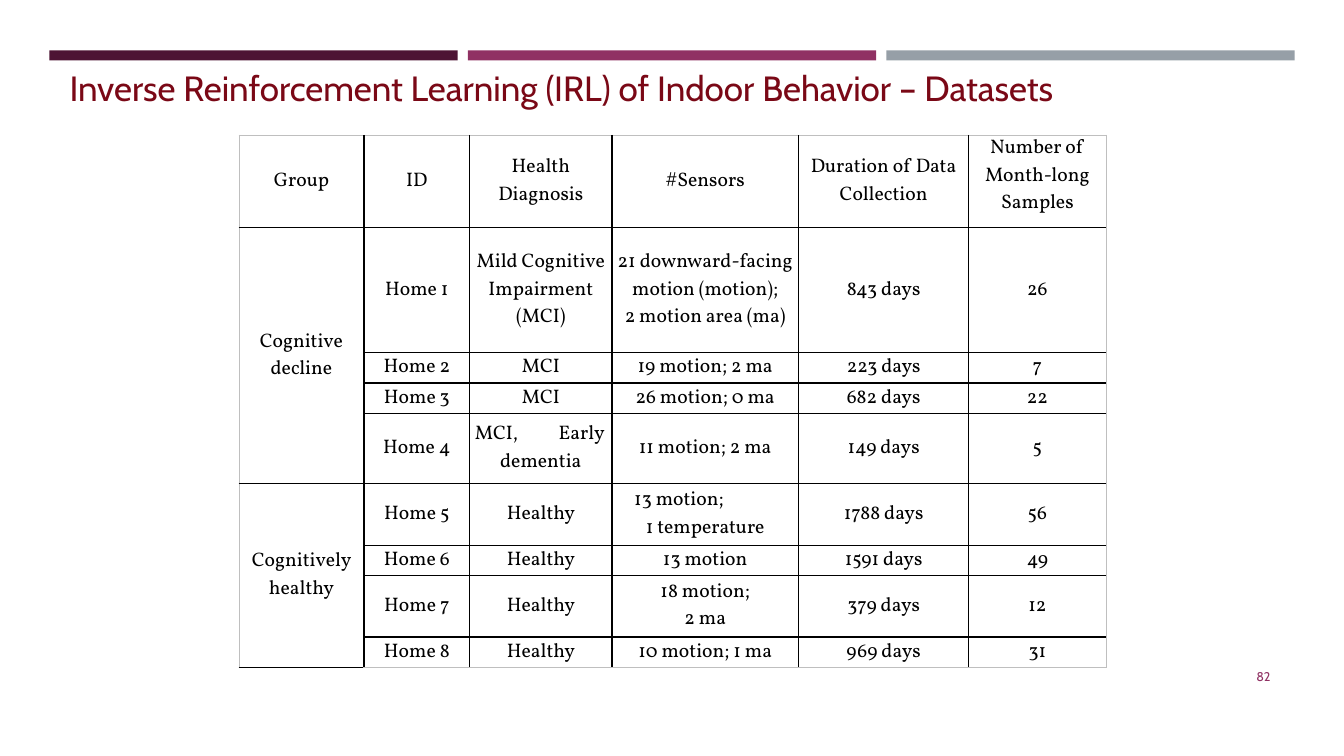
"""Build the slide on the datasets for inverse reinforcement learning."""
from lxml.etree import SubElement
from pptx import Presentation
from pptx.dml.color import RGBColor
from pptx.enum.shapes import MSO_SHAPE
from pptx.enum.text import MSO_ANCHOR, PP_ALIGN
from pptx.oxml import parse_xml
from pptx.oxml.ns import nsdecls, qn
from pptx.util import Inches, Pt

TITLE = "Inverse Reinforcement Learning (IRL) of Indoor Behavior – Datasets"
PAGE = "82"
HEADER = ["Group", "ID", "Health Diagnosis", "#Sensors",
          "Duration of Data Collection", "Number of Month-long Samples"]
GROUPS = {
    "Cognitive decline": [
        ("Home 1", "Mild Cognitive Impairment (MCI)",
         "21 downward-facing motion (motion);\n2 motion area (ma)", "843 days", "26"),
        ("Home 2", "MCI", "19 motion; 2 ma", "223 days", "7"),
        ("Home 3", "MCI", "26 motion; 0 ma", "682 days", "22"),
        ("Home 4", "MCI,\tEarly\ndementia", "11 motion; 2 ma", "149 days", "5"),
    ],
    "Cognitively healthy": [
        ("Home 5", "Healthy", "13 motion;\n1 temperature", "1788 days", "56"),
        ("Home 6", "Healthy", "13 motion", "1591 days", "49"),
        ("Home 7", "Healthy", "18 motion;\n2 ma", "379 days", "12"),
        ("Home 8", "Healthy", "10 motion; 1 ma", "969 days", "31"),
    ],
}
COLUMNS = [1.24, 1.05, 1.41, 1.85, 1.69, 1.36]
ROWS = [0.92, 1.24, 0.3, 0.3, 0.7, 0.61, 0.3, 0.61, 0.3]
LEFT_INDENTS = {"13 motion;": 0.17}
RIGHT_TAB = 1.29
COLORS = {"plum": "4D1434", "berry": "903163", "slate": "969FA7",
          "title": "7A0816", "ink": "000000", "frame": "BFBFBF"}
BARS = ["plum", "berry", "slate"]
BAR_LEFT, BAR_TOP, BAR_WIDTH, BAR_HEIGHT, BAR_STEP = 0.49, 0.5, 4.05, 0.1, 4.15


def color(name):
    return RGBColor.from_string(COLORS[name])


def add_run(paragraph, text, size, font, tint):
    run = paragraph.add_run()
    run.text = text
    run.font.size, run.font.name = Pt(size), font
    run.font.color.rgb = color(tint)


def add_label(slide, area, text, size, tint, align, anchor, inset):
    frame = slide.shapes.add_textbox(*map(Inches, area)).text_frame
    frame.word_wrap, frame.vertical_anchor = True, anchor
    frame.margin_left = frame.margin_right = Inches(inset)
    frame.margin_top = frame.margin_bottom = Inches(0.04)
    frame.paragraphs[0].alignment = align
    add_run(frame.paragraphs[0], text, size, "Cabin", tint)


def set_borders(cell, outer_sides):
    properties = cell._tc.get_or_add_tcPr()
    for index, side in enumerate("LRTB"):
        tint, width = ("frame", 0.5) if side in outer_sides else ("ink", 1)
        properties.insert(index, parse_xml(
            f'<a:ln{side} {nsdecls("a")} w="{Pt(width)}"><a:solidFill>'
            f'<a:srgbClr val="{COLORS[tint]}"/></a:solidFill></a:ln{side}>'))


def fill_cell(cell, text):
    cell.vertical_anchor = MSO_ANCHOR.MIDDLE
    cell.margin_left = cell.margin_right = Inches(0.05)
    cell.margin_top = cell.margin_bottom = 0
    frame = cell.text_frame
    for index, line in enumerate(text.split("\n")):
        paragraph = frame.add_paragraph() if index else frame.paragraphs[0]
        properties = paragraph._p.get_or_add_pPr()
        paragraph.alignment = PP_ALIGN.CENTER
        if line in LEFT_INDENTS:
            paragraph.alignment = PP_ALIGN.LEFT
            properties.set("marL", str(Inches(LEFT_INDENTS[line])))
            properties.set("indent", "0")
        if "\t" in line:
            paragraph.alignment = PP_ALIGN.LEFT
            tabs = SubElement(properties, qn("a:tabLst"))
            SubElement(tabs, qn("a:tab"), pos=str(Inches(RIGHT_TAB)), algn="r")
        add_run(paragraph, line, 14, "Vollkorn", "ink")


def add_datasets(slide):
    table = slide.shapes.add_table(
        len(ROWS), len(COLUMNS), Inches(2.37), Inches(1.34),
        Inches(sum(COLUMNS)), Inches(sum(ROWS))).table
    table.first_row = table.horz_banding = False
    for column, width in zip(table.columns, COLUMNS):
        column.width = Inches(width)
    for row, height in zip(table.rows, ROWS):
        row.height = Inches(height)

    last_row, last_column = len(ROWS) - 1, len(COLUMNS) - 1
    for r in range(len(ROWS)):
        for c in range(len(COLUMNS)):
            edges = {"L": c == 0, "R": c == last_column, "T": r == 0, "B": r == last_row}
            table.cell(r, c).fill.background()
            set_borders(table.cell(r, c), [side for side in edges if edges[side]])

    for c, heading in enumerate(HEADER):
        fill_cell(table.cell(0, c), heading)
    table.cell(0, last_column).vertical_anchor = MSO_ANCHOR.TOP
    first = 1
    for group, homes in GROUPS.items():
        table.cell(first, 0).merge(table.cell(first + len(homes) - 1, 0))
        fill_cell(table.cell(first, 0), group)
        for r, home in enumerate(homes, first):
            for c, value in enumerate(home, 1):
                fill_cell(table.cell(r, c), value)
        first += len(homes)


def main():
    deck = Presentation()
    deck.slide_width, deck.slide_height = Inches(13.33), Inches(7.5)
    slide = deck.slides.add_slide(deck.slide_layouts[6])
    for index, tint in enumerate(BARS):
        bar = slide.shapes.add_shape(
            MSO_SHAPE.RECTANGLE, Inches(BAR_LEFT + index * BAR_STEP),
            Inches(BAR_TOP), Inches(BAR_WIDTH), Inches(BAR_HEIGHT))
        bar.shadow.inherit = False
        bar.fill.solid()
        bar.fill.fore_color.rgb = color(tint)
        bar.line.fill.background()
    add_label(slide, (11.55, 6.51, 1.15, 0.4), PAGE, 9, "berry",
              PP_ALIGN.RIGHT, MSO_ANCHOR.MIDDLE, 0.1)
    add_label(slide, (0.65, 0.17, 10.85, 0.95), TITLE, 25, "title",
              PP_ALIGN.LEFT, MSO_ANCHOR.BOTTOM, 0.04)
    add_datasets(slide)
    deck.save("out.pptx")


if __name__ == "__main__":
    main()
